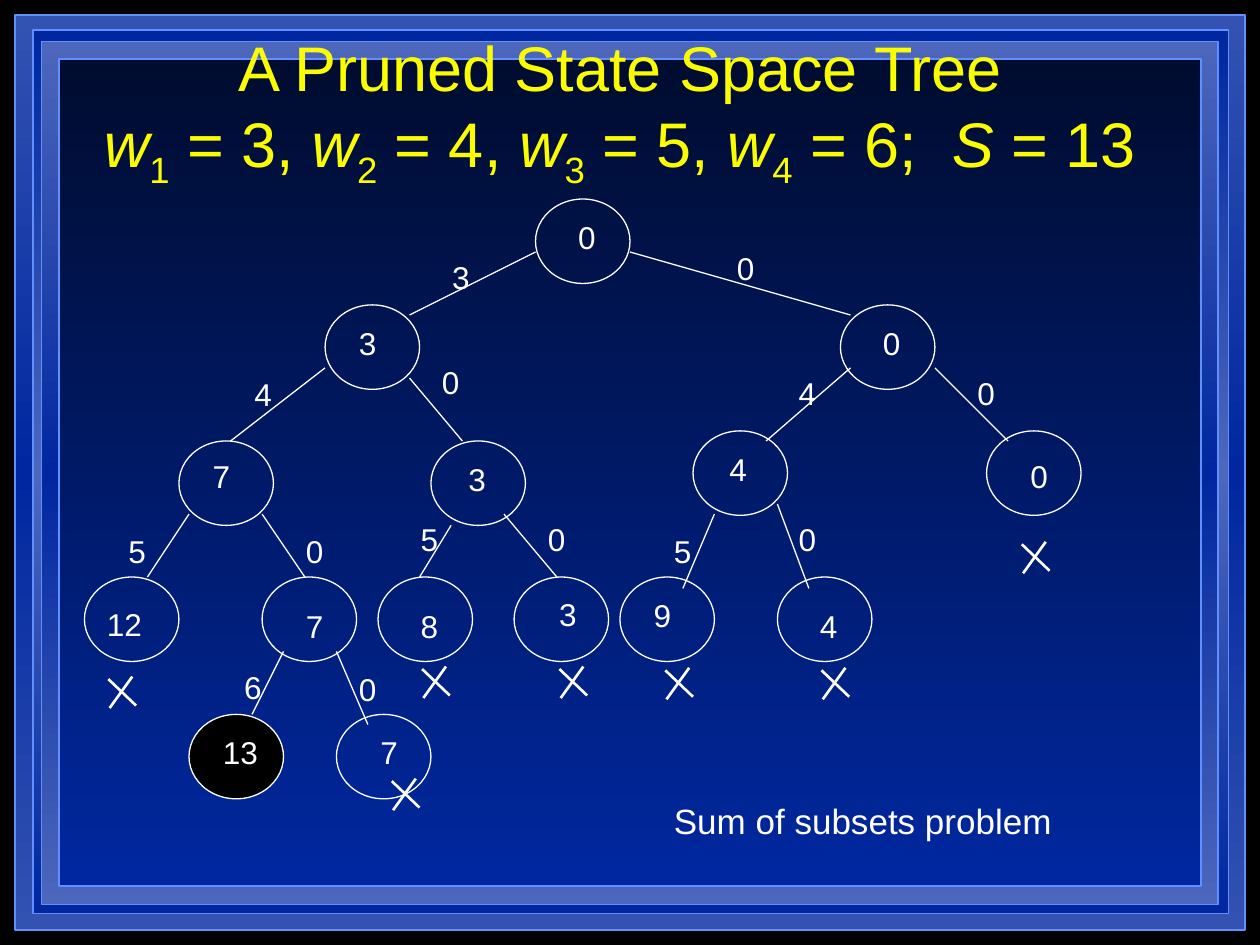
from copy import deepcopy

from pptx import Presentation
from pptx.dml.color import RGBColor
from pptx.enum.shapes import MSO_CONNECTOR, MSO_SHAPE
from pptx.enum.text import MSO_ANCHOR, MSO_AUTO_SIZE, PP_ALIGN
from pptx.oxml.ns import qn
from pptx.util import Inches, Pt
from lxml import etree

COLORS = {
    "black": "000000", "white": "FFFFFF", "yellow": "FAFD00", "outline": "618FFD",
    "night": "000C2F", "blue": "00279F", "mid": "3352B2", "light": "4C67BC",
}
RGB = {name: RGBColor.from_string(value) for name, value in COLORS.items()}

prs = Presentation()
prs.slide_width, prs.slide_height = Inches(10), Inches(7.5)
slide = prs.slides.add_slide(prs.slide_layouts[6])
slide.background.fill.solid()
slide.background.fill.fore_color.rgb = RGB["black"]
shapes = slide.shapes


def add_label(text, x, y, size=18, width=None):
    """White text at x, y; the width follows the number of digits unless given."""
    width = width or 0.2 + 0.14 * len(text)
    box = shapes.add_textbox(Inches(x), Inches(y), Inches(width), Inches(0.4))
    box.text_frame.word_wrap = False
    box.text_frame.auto_size = MSO_AUTO_SIZE.SHAPE_TO_FIT_TEXT
    paragraph = box.text_frame.paragraphs[0]
    paragraph.text = text
    paragraph.font.name = "Arial"
    paragraph.font.size = Pt(size)
    paragraph.font.color.rgb = RGB["white"]


def add_line(x1, y1, x2, y2, weight=0.75):
    line = shapes.add_connector(MSO_CONNECTOR.STRAIGHT, Inches(x1), Inches(y1), Inches(x2), Inches(y2))
    line.line.color.rgb = RGB["white"]
    line.line.width = Pt(weight)
    etree.SubElement(line._element.spPr, qn("a:effectLst"))


# Nested frames, outermost first: left, top, width, height, gradient from top to bottom
frames = [
    (0.12, 0.12, 9.76, 7.26, ["mid", "blue", "mid"]),
    (0.26, 0.24, 9.49, 7.01, ["blue", "light", "blue"]),
    (0.33, 0.33, 9.34, 6.85, ["light", "blue", "light"]),
    (0.47, 0.47, 9.06, 6.56, ["night", "blue"]),
]
for *bounds, shades in frames:
    frame = shapes.add_shape(MSO_SHAPE.RECTANGLE, *map(Inches, bounds))
    frame.shadow.inherit = False
    frame.line.color.rgb = RGB["outline"]
    frame.line.width = Pt(1)
    frame.fill.gradient()
    frame.fill.gradient_angle = 270
    stop_list = frame._element.spPr.find(".//" + qn("a:gsLst"))
    if len(shades) == 3:
        stop_list.insert(1, deepcopy(stop_list[0]))
    for i, (stop, shade) in enumerate(zip(frame.fill.gradient_stops, shades)):
        stop.position = i / (len(shades) - 1)
        stop.color.rgb = RGB[shade]

# Title: weights in italics with lowered indices
title = shapes.add_textbox(Inches(0.67), Inches(0.33), Inches(8.5), Inches(1.08)).text_frame
title.word_wrap = True
title.vertical_anchor = MSO_ANCHOR.MIDDLE
heading = title.paragraphs[0]
heading.alignment = PP_ALIGN.CENTER
heading.font.name = "Arial"
heading.font.size = Pt(36)
heading.font.color.rgb = RGB["yellow"]
heading.add_run().text = "A Pruned State Space Tree"
heading.add_line_break()
weights = [("1", " = 3, "), ("2", " = 4, "), ("3", " = 5, "), ("4", " = 6;  ")]
terms = [("w", index, rest) for index, rest in weights] + [("S", "", " = 13")]
for symbol, index, rest in terms:
    variable = heading.add_run()
    variable.text = symbol
    variable.font.italic = True
    if index:
        subscript = heading.add_run()
        subscript.text = index
        subscript.font._element.set("baseline", "-25000")
    heading.add_run().text = rest

# Tree nodes: sum, node left and top, sum left and top
nodes = [
    ("0", 4.25, 1.58, 4.49, 1.68),
    ("3", 2.58, 2.42, 2.75, 2.52),
    ("0", 6.67, 2.42, 6.91, 2.52),
    ("7", 1.42, 3.5, 1.59, 3.58),
    ("3", 3.42, 3.5, 3.62, 3.6),
    ("4", 5.5, 3.42, 5.69, 3.52),
    ("0", 7.83, 3.42, 8.08, 3.58),
    ("12", 0.67, 4.58, 0.75, 4.75),
    ("7", 2.08, 4.58, 2.33, 4.77),
    ("8", 3, 4.58, 3.24, 4.77),
    ("3", 4.08, 4.58, 4.34, 4.67),
    ("9", 4.92, 4.58, 5.09, 4.68),
    ("4", 6.17, 4.58, 6.41, 4.77),
    ("13", 1.5, 5.67, 1.67, 5.77),
    ("7", 2.67, 5.67, 2.92, 5.77),
]
for total, x, y, text_x, text_y in nodes:
    node = shapes.add_shape(MSO_SHAPE.OVAL, Inches(x), Inches(y), Inches(0.75), Inches(0.67))
    node.shadow.inherit = False
    node.line.color.rgb = RGB["white"]
    node.line.width = Pt(0.75)
    if total == "13":  # the solution
        node.fill.solid()
        node.fill.fore_color.rgb = RGB["black"]
    else:
        node.fill.background()
    add_label(total, text_x, text_y)

# Branches: added weight, its left and top, line from and to
branches = [
    ("3", 3.49, 2, 4.25, 2, 3.25, 2.5),
    ("0", 5.75, 1.93, 5, 2, 6.75, 2.5),
    ("4", 1.92, 2.93, 2.58, 2.92, 1.83, 3.5),
    ("0", 3.41, 2.83, 3.25, 3, 3.67, 3.5),
    ("4", 6.24, 2.92, 6.75, 2.92, 6.08, 3.5),
    ("0", 7.66, 2.92, 7.42, 2.92, 8, 3.5),
    ("5", 0.92, 4.17, 1.5, 4.08, 1.17, 4.58),
    ("0", 2.33, 4.17, 2.08, 4.08, 2.42, 4.58),
    ("5", 3.24, 4.08, 3.58, 4.17, 3.33, 4.58),
    ("0", 4.25, 4.08, 4, 4.08, 4.42, 4.58),
    ("5", 5.25, 4.17, 5.67, 4.08, 5.42, 4.67),
    ("0", 6.24, 4.08, 6.17, 4, 6.42, 4.67),
    ("6", 1.84, 5.25, 2.25, 5.17, 2, 5.67),
    ("0", 2.75, 5.27, 2.67, 5.17, 2.92, 5.75),
]
for weight, text_x, text_y, *ends in branches:
    add_line(*ends)
    add_label(weight, text_x, text_y)

# Crosses under the pruned nodes: left, top
crosses = [(8.11, 4.3), (0.86, 5.37), (3.35, 5.29), (4.44, 5.29),
           (5.28, 5.3), (6.52, 5.3), (3.11, 6.18)]
for x, y in crosses:
    add_line(x + 0.01, y + 0.25, x + 0.19, y, 1.5)
    add_line(x, y + 0.02, x + 0.22, y + 0.23, 1.5)

add_label("Sum of subsets problem", 5.25, 6.3, size=20, width=3.2)

prs.save("out.pptx")
